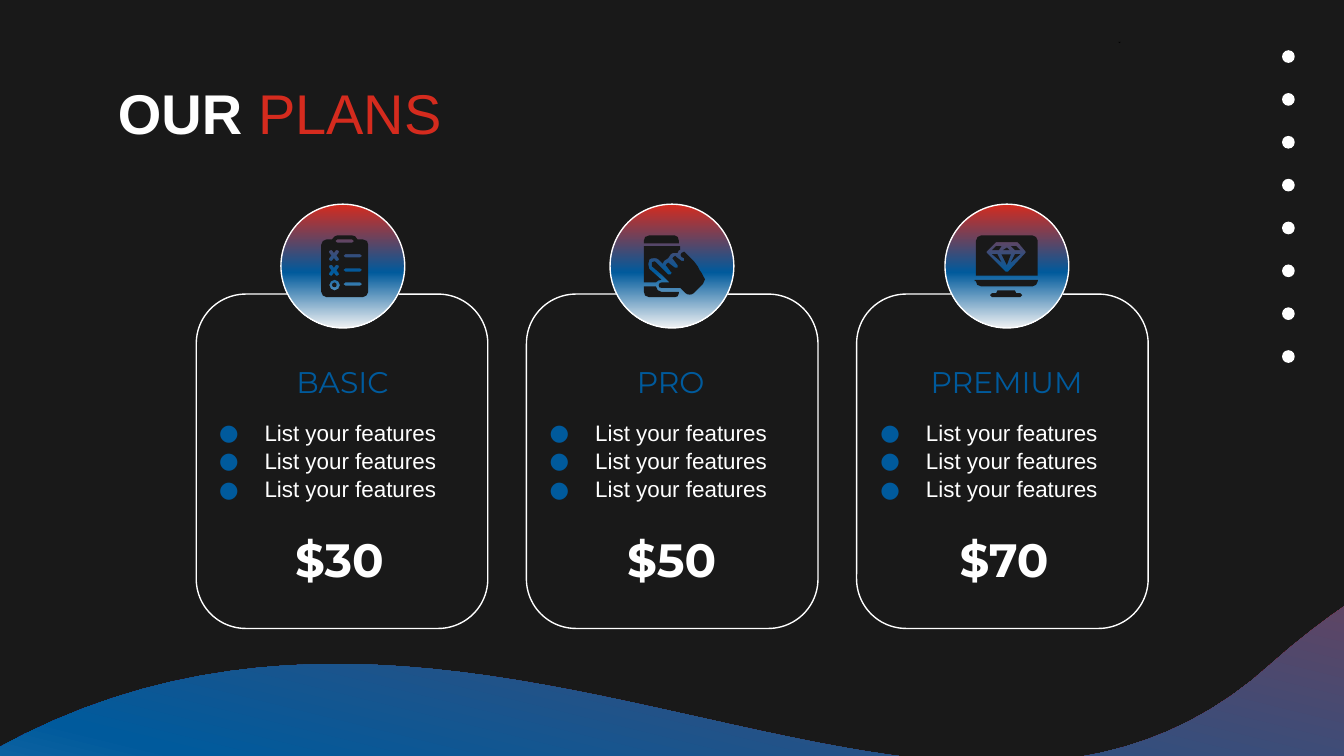
import math

from lxml import etree
from pptx import Presentation
from pptx import util as u
from pptx.dml.color import RGBColor
from pptx.enum import shapes as kinds, text
from pptx.oxml.ns import qn

Cm = u.Cm
COLORS = {"dark": "191919", "white": "FFFFFF", "red": "D52B1E",
          "blue": "005A9C", "pale": "EFF1F3", "speck": "020203"}
GRADIENT = [(0, "red"), (55, "blue"), (100, "pale")]
UNIT = Cm(2.54) / 100  # grid step of the outlines
WAVE_CENTER, WAVE_ANGLE = (634.5, 618.5), 13.8
WAVE = ("M1116,395 C1063,406 994,451 946,494 C701,717 342,343 -26,571 L-78,784 "
        "L250,865 C335,807 727,760 803,763 C1156,777 1180,817 1257,819")

CLIPBOARD = ("M12,0 C11,0 9,1 8,3 L4,3 C2,3 0,5 0,7 L0,42 C0,44 2,46 4,46 L31,46 "
             "C33,46 35,44 35,42 L35,7 C35,5 34,3 31,3 L27,3 C26,1 25,0 23,0")
DASH = "M12,0 C14,0 14,2.5 12,2.5 L1,2.5 C-1,2.5 -1,0 1,0"
CROSS = ("M7,0 C8,0 9,1 8,2 L6.5,4 L8,6 C9,7 8,8 7,8 L6,8 L4.5,6 L3,8 "
         "L2,8 C1,8 0,7 1,6 L2.5,4 L1,2 C0,1 1,0 2,0 L3,0 L4.5,2 L6,0")
RING = "M4,0 C6,0 8,2 8,4 C8,6 6,8 4,8 C2,8 0,6 0,4 C0,2 2,0 4,0"
RING_CENTER = ("M10,35 C9,35 8,36 8,37 C8,38 9,38.5 10,38.5 "
               "C11,38.5 11.5,38 11.5,37 C11.5,36 11,35 10,35")
PHONE = [
    "M4,0 C1,0 0,2 0,4 L0,6 L26,6 L26,4 C26,2 25,0 23,0",
    "M0,8 L0,35 L9,35 C10,34 11,33 13,33 L4,25 C3,23 3,20 4,18 C5,17 6,17 8,17 "
    "C9,17 10,17 11,18 L14,21 L15,19 L18,17 L20,14 C21,13 22,13 23,13 L25,13 L26,11 "
    "L27,11 L27,8",
    "M0,38 L0,42 C0,44 1,46 4,46 L23,46 C25,46 26,45 26,43 L26,42 L13,42 C11,42 9,40 9,38",
    "M30,12 L28,13 C27,14 27,15 28,16 L30,17 L30,19 L28,19 L24,16 C24,15 23,15 22,16 "
    "C21,16 21,18 22,18 L25,22 L25,24 L23,24 L19,21 C19,20 18,20 17,21 C16,22 16,23 17,23 "
    "L20,27 C21,27 21,28 20,29 L18,29 L9,20 C9,19 7,19 6,20 C6,21 6,22 6,23 "
    "L13,29 L19,35 L13,35 C12,35 11,36 11,37 C11,39 12,39 13,39 L27,39 L31,43 "
    "C32,44 33,44 34,44 C35,44 36,44 37,43 L44,36 C46,34 46,31 44,30 L43,28 "
    "C42,27 41,25 40,23 C39,22 39,21 37,19 L31,13",
]
MONITOR = [
    "M24,9 L21,11 L26,11",
    "M16,8 L13,11 L18,11 L20,8",
    "M30,14 L27,20 L34,14",
    "M20,14 L24,22 L27,14",
    "M27,8 L30,11 L34,11 L31,8",
    "M13,14 L20,20 L17,14",
    "M0,33 L0,34 L1,34 C1,36 2,38 5,38 L43,38 C45,38 47,36 47,34 L47,33",
    "M5,0 C3,0 1,2 1,4 L1,30 L47,30 L47,4 C47,2 45,0 43,0 "
    "M32,5 L33,6 L38,12 L38,13 L25,27 L23,27 L9,13 L9,12 L15,6 L16,5",
    "M17,41 L16,43 L13,43 C11,43 11,46 13,46 L34,46 C36,46 36,43 34,43 L31,43 L30,41",
]


def color(name):
    return RGBColor.from_string(COLORS[name])


def apply(target, formats):
    for name, value in formats.items():
        setattr(target, name, value)


def flatten(curve):
    """Points along a Bezier curve after its start, more of them on a longer one."""
    steps = 2 + int(math.dist(curve[0], curve[3]) / 20)
    points = []
    for step in range(1, steps + 1):
        t = step / steps
        weights = ((1 - t) ** 3, 3 * t * (1 - t) ** 2, 3 * t * t * (1 - t), t ** 3)
        points.append(tuple(sum(w * p[axis] for w, p in zip(weights, curve)) for axis in (0, 1)))
    return points


def contours(outline, dx=0, dy=0):
    """Turn M, L and C commands into closed lists of points, moved by dx, dy."""
    result, controls, command = [], [], ""
    for token in outline.split():
        if token[0] in "MLC":
            command, token = token[0], token[1:]
        x, y = (float(number) for number in token.split(","))
        point = (x + dx, y + dy)
        if command == "M":
            result.append([point])
        elif command == "L":
            result[-1].append(point)
        else:
            controls.append(point)
            if len(controls) == 3:
                result[-1] += flatten([result[-1][-1]] + controls)
                controls = []
    return result


def turn(point, center, degrees):
    x, y = point[0] - center[0], point[1] - center[1]
    cos, sin = math.cos(math.radians(degrees)), math.sin(math.radians(degrees))
    return center[0] + x * cos - y * sin, center[1] + x * sin + y * cos


def paint(shape, fill, line=None):
    shape.shadow.inherit = False
    if fill == "gradient":
        shape.fill.gradient()
        shape.fill.gradient_angle = 270
        stops = shape._element.spPr.find(f"{qn('a:gradFill')}/{qn('a:gsLst')}")
        for stop in list(stops):
            stops.remove(stop)
        for position, name in GRADIENT:
            stop = etree.SubElement(stops, qn("a:gs"), pos=str(position * 1000))
            etree.SubElement(stop, qn("a:srgbClr"), val=COLORS[name])
    else:
        shape.fill.solid()
        shape.fill.fore_color.rgb = color(fill)
    if line:
        shape.line.color.rgb = color(line)
        shape.line.width = u.Pt(0.75)
    else:
        shape.line.fill.background()


def add_outline(shapes, loops, fill, left=0, top=0):
    scaled = [[(x * UNIT, y * UNIT) for x, y in loop] for loop in loops]
    builder = shapes.build_freeform(*scaled[0][0], scale=1.0)
    for index, loop in enumerate(scaled):
        if index:
            builder.move_to(*loop[0])
        builder.add_line_segments(loop[1:], close=True)
    shape = builder.convert_to_shape(left, top)
    paint(shape, fill)
    return shape


def add_preset(shapes, kind, box, fill, line=None):
    shape = shapes.add_shape(kind, *map(Cm, box))
    paint(shape, fill, line)
    return shape


def format_frame(frame, anchor):
    apply(frame, {"word_wrap": True, "auto_size": text.MSO_AUTO_SIZE.NONE,
                  "vertical_anchor": anchor, "margin_left": Cm(0.25), "margin_right": Cm(0.25),
                  "margin_top": Cm(0.25), "margin_bottom": Cm(0.25)})


def add_run(paragraph, words, size, name, ink, bold=False):
    run = paragraph.add_run()
    run.text = words
    apply(run.font, {"size": u.Pt(size), "name": name, "bold": bold})
    run.font.color.rgb = color(ink)


def add_label(slide, box, words, *style):
    frame = slide.shapes.add_textbox(*map(Cm, box)).text_frame
    format_frame(frame, text.MSO_ANCHOR.MIDDLE)
    frame.paragraphs[0].alignment = text.PP_ALIGN.CENTER
    add_run(frame.paragraphs[0], words, *style)


def add_features(slide, box, features):
    frame = slide.shapes.add_textbox(*map(Cm, box)).text_frame
    format_frame(frame, text.MSO_ANCHOR.TOP)
    for index, feature in enumerate(features):
        paragraph = frame.add_paragraph() if index else frame.paragraphs[0]
        paragraph.line_spacing = 1.05
        properties = paragraph._p.get_or_add_pPr()
        properties.set("marL", str(Cm(1.27)))
        properties.set("indent", str(-Cm(0.86)))
        bullet_color = etree.SubElement(properties, qn("a:buClr"))
        etree.SubElement(bullet_color, qn("a:srgbClr"), val=COLORS["blue"])
        etree.SubElement(properties, qn("a:buFont"), typeface="Montserrat")
        etree.SubElement(properties, qn("a:buChar"), char="●")
        add_run(paragraph, feature, 12, "Arial", "white")


def add_title(slide):
    title = slide.shapes.title
    apply(title, {"left": Cm(1.98), "top": Cm(1.24), "width": Cm(20.27), "height": Cm(1.6)})
    format_frame(title.text_frame, text.MSO_ANCHOR.TOP)
    paragraph = title.text_frame.paragraphs[0]
    paragraph.alignment = text.PP_ALIGN.LEFT
    add_run(paragraph, "OUR ", 30, "Arial", "white", True)
    add_run(paragraph, "PLANS", 30, "Arial", "red")


def add_decoration(slide):
    add_outline(slide.shapes, contours("M0,0 L1,1 L2,0"), "speck", Cm(21.13), Cm(0.79))
    level = [[turn(point, WAVE_CENTER, -WAVE_ANGLE) for point in loop] for loop in contours(WAVE)]
    add_outline(slide.shapes, level, "gradient").rotation = WAVE_ANGLE
    dots = slide.shapes.add_group_shape()
    for index in range(8):
        add_preset(dots.shapes, kinds.MSO_SHAPE.OVAL,
                   (24.23, 0.95 + 0.81 * index, 0.24, 0.24), "white")


def clipboard_parts():
    holes = [(DASH, 11, 3), (CROSS, 5, 11), (CROSS, 5, 22), (RING, 6, 33)]
    holes += [(DASH, 17, y) for y in (14, 24.5, 35)]
    board = contours(CLIPBOARD)
    for hole in holes:
        board += contours(*hole)
    return [board, contours(RING_CENTER)]


def add_icon(slide, left, parts):
    group = slide.shapes.add_group_shape()
    for part in parts:
        add_outline(group.shapes, part, "dark", Cm(left), Cm(4.45))


def main():
    presentation = Presentation()
    apply(presentation, {"slide_width": Cm(25.4), "slide_height": Cm(14.29)})
    slide = presentation.slides.add_slide(presentation.slide_layouts[5])
    slide.background.fill.solid()
    slide.background.fill.fore_color.rgb = color("dark")
    add_decoration(slide)
    add_title(slide)

    plans = [  # name, price, name left, circle left, icon left, icon parts
        ("BASIC", "$30", 4.01, 5.31, 6.07, clipboard_parts()),
        ("PRO", "$50", 10.21, 11.53, 12.17, [contours(part) for part in PHONE]),
        ("PREMIUM", "$70", 16.56, 17.86, 18.42, [contours(part) for part in MONITOR]),
    ]
    for index, (name, price, name_left, circle_left, icon_left, parts) in enumerate(plans):
        card = add_preset(slide.shapes, kinds.MSO_SHAPE.ROUNDED_RECTANGLE,
                          (3.71 + 6.24 * index, 5.56, 5.51, 6.32), "dark", "white")
        card.adjustments[0] = 0.17
        add_features(slide, (3.48 + 6.25 * index, 7.65, 5.97, 2.06), ["List your features"] * 3)
        add_label(slide, (name_left, 6.6, 4.93, 1.24), name, 16, "Montserrat", "blue")
        add_label(slide, (3.66 + 6.28 * index, 10.03, 5.51, 1.07), price,
                  25, "Montserrat", "white", True)
        add_preset(slide.shapes, kinds.MSO_SHAPE.OVAL,
                   (circle_left, 3.86, 2.34, 2.34), "gradient", "white")
        add_icon(slide, icon_left, parts)
    presentation.save("out.pptx")


if __name__ == "__main__":
    main()
